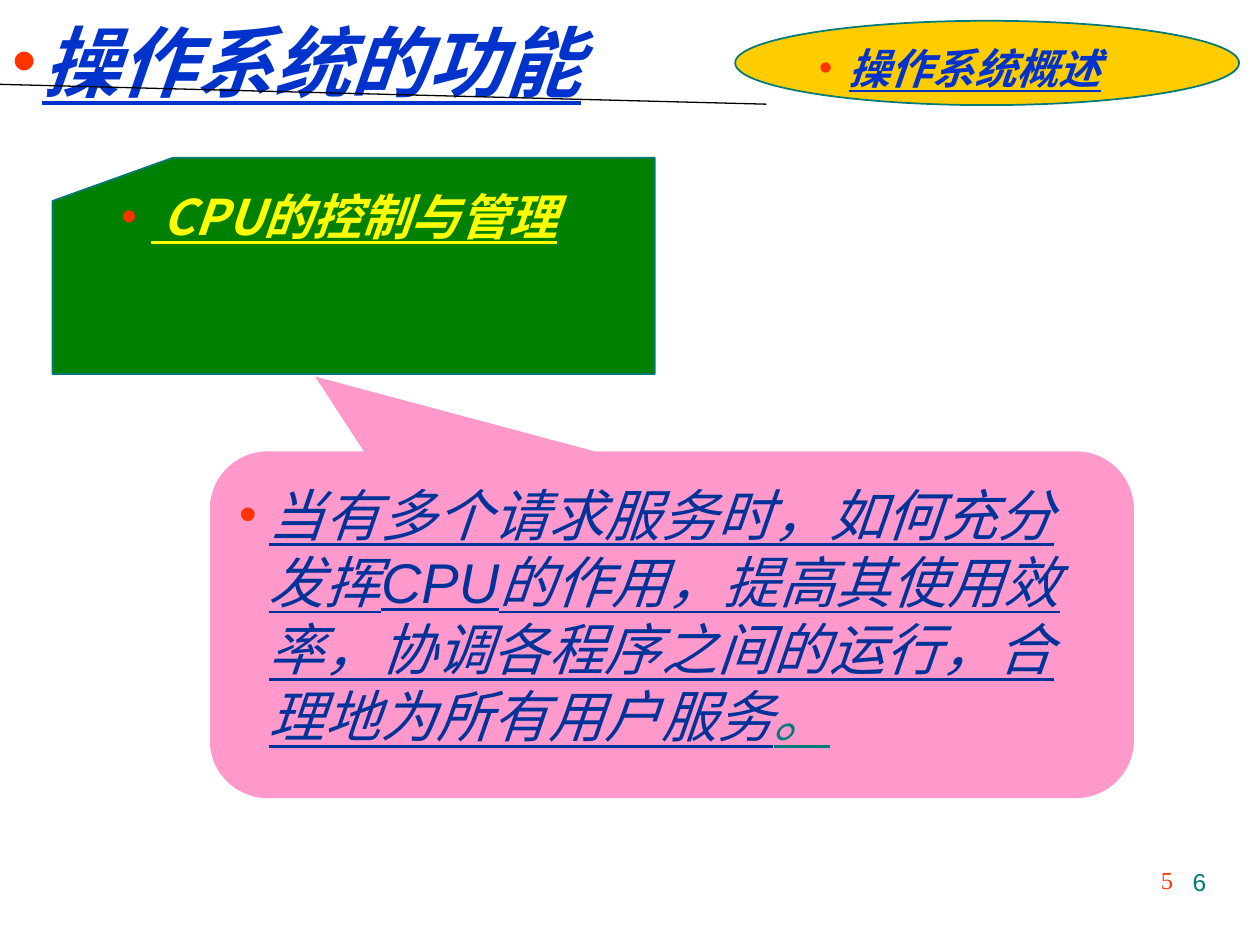
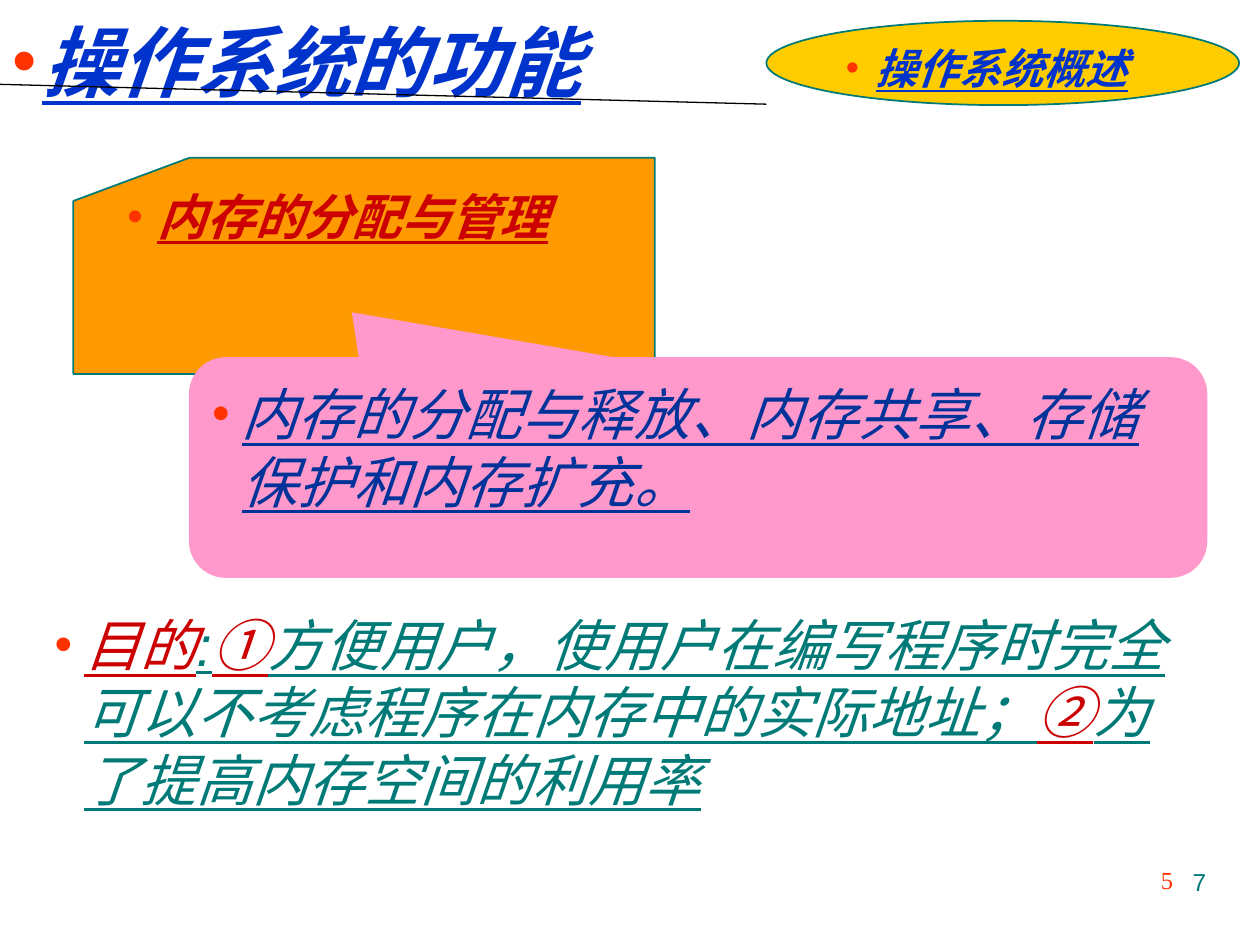
"""Build two slides on the functions of an operating system."""
import pptx
import pptx.dml.color
import pptx.enum.shapes
import pptx.enum.text
import pptx.oxml
import pptx.oxml.ns
import pptx.util
from lxml import etree

Cm = pptx.util.Cm
Pt = pptx.util.Pt
RGB = pptx.dml.color.RGBColor
SHAPE = pptx.enum.shapes.MSO_SHAPE
RIGHT = pptx.enum.text.PP_ALIGN.RIGHT
qn = pptx.oxml.ns.qn

BLUE = RGB(0x00, 0x33, 0xCC)
NAVY = RGB(0x00, 0x33, 0x99)
TEAL = RGB(0x00, 0x7A, 0x77)
RED = RGB(0xCC, 0x00, 0x00)
ORANGE_RED = RGB(0xFF, 0x33, 0x00)
ORANGE = RGB(0xFF, 0x99, 0x00)
GOLD = RGB(0xFF, 0xCC, 0x00)
YELLOW = RGB(0xFF, 0xFF, 0x00)
GREEN = RGB(0x00, 0x80, 0x00)
PINK = RGB(0xFF, 0x99, 0xCC)
BLACK = RGB(0x00, 0x00, 0x00)

SANS, SERIF, CJK = "Arial", "Times New Roman", "Noto Sans CJK SC"
BULLET_INDENT = 0.6
LINE_HEIGHT = 1.2
CARD_RIGHT, TOPIC_RIGHT = 13.2, 24.98

TITLE = "操作系统的功能"
TOPIC = "操作系统概述"
CHAPTER = "5"

SLIDES = [
    {
        "page": "6",
        "topic_left": 14.82,
        "card": {"left": 1.06, "text_left": 2.2, "fill": GREEN, "color": YELLOW,
                 "text": " CPU的控制与管理"},
        "callout": {"box": (4.23, 9.1, 18.63, 6.99), "tip": (-0.386, -0.716),
                    "runs": [("当有多个请求服务时，如何充分发挥CPU的作用，提高其使用效率，"
                              "协调各程序之间的运行，合理地为所有用户服务", NAVY), ("。", TEAL)]},
        "purpose": [],
    },
    {
        "page": "7",
        "topic_left": 15.45,
        "card": {"left": 1.48, "text_left": 2.32, "fill": ORANGE, "color": RED,
                 "text": "内存的分配与管理"},
        "callout": {"box": (3.81, 7.2, 20.53, 4.45), "tip": (-0.34, -0.703),
                    "runs": [("内存的分配与释放、内存共享、存储保护和内存扩充。", NAVY)]},
        "purpose": [("目的", RED), (":", TEAL), ("①", RED),
                    ("方便用户，使用户在编写程序时完全可以不考虑程序在内存中的实际地址；", TEAL),
                    ("②", RED), ("为了提高内存空间的利用率", TEAL)],
    },
]


def add_bullet(paragraph):
    props = paragraph._p.get_or_add_pPr()
    props.set("marL", str(Cm(BULLET_INDENT)))
    props.set("indent", str(-Cm(BULLET_INDENT)))
    color = etree.SubElement(props, qn("a:buClr"))
    etree.SubElement(color, qn("a:srgbClr")).set("val", str(ORANGE_RED))
    etree.SubElement(props, qn("a:buSzPct")).set("val", "90000")
    etree.SubElement(props, qn("a:buFont")).set("typeface", SANS)
    etree.SubElement(props, qn("a:buChar")).set("char", "•")


def write_bullet(shape, runs, size, font_name, bold=False):
    frame = shape.text_frame
    frame.word_wrap = True
    frame.vertical_anchor = pptx.enum.text.MSO_ANCHOR.TOP
    frame.margin_top = Cm(0.13) + Pt(size * 0.1)
    paragraph = frame.paragraphs[0]
    paragraph.alignment = pptx.enum.text.PP_ALIGN.LEFT
    add_bullet(paragraph)
    paragraph.line_spacing = Pt(size * LINE_HEIGHT)
    font = paragraph.font
    font.size, font.name = Pt(size), font_name
    font.bold, font.italic, font.underline = bold, True, True
    defaults = paragraph._p.pPr.find(qn("a:defRPr"))
    etree.SubElement(defaults, qn("a:ea")).set("typeface", CJK)
    for text, color in runs:
        run = paragraph.add_run()
        run.text = text
        run.font.color.rgb = color
        if text in "①②":
            run.font.name = CJK


def add_text_box(slide, left, top, width, height):
    return slide.shapes.add_textbox(Cm(left), Cm(top), Cm(width), Cm(height))


def add_filled(slide, kind, box, fill, outline=None):
    shape = slide.shapes.add_shape(kind, *map(Cm, box))
    shape.shadow.inherit = False
    shape.fill.solid()
    shape.fill.fore_color.rgb = fill
    if outline is None:
        shape.line.fill.background()
    else:
        shape.line.color.rgb = outline
        shape.line.width = Pt(1)
    return shape


def add_number(slide, text, box, font_name, color):
    paragraph = add_text_box(slide, *box).text_frame.paragraphs[0]
    paragraph.text = text
    paragraph.alignment = RIGHT
    font = paragraph.font
    font.size, font.name, font.color.rgb = Pt(14), font_name, color


def add_header(slide, topic_left):
    title = add_text_box(slide, 0, 0, 13.2, 2.1)
    write_bullet(title, [(TITLE, BLUE)], 44, SERIF, bold=True)
    rule = slide.shapes.add_connector(
        pptx.enum.shapes.MSO_CONNECTOR.STRAIGHT, 0, Cm(1.7), Cm(15.45), Cm(2.1))
    rule.line.color.rgb = BLACK
    rule.line.width = Pt(0.75)
    etree.SubElement(rule._element.spPr, qn("a:effectLst"))


def add_topic(slide, left):
    width = TOPIC_RIGHT - left
    add_filled(slide, SHAPE.OVAL, (left, 0.42, width, 1.7), GOLD, TEAL)
    topic = add_text_box(slide, left + width * 0.142, 0.64, width * 0.762, 1.27)
    write_bullet(topic, [(TOPIC, BLUE)], 24, SERIF, bold=True)


def add_card(slide, card):
    left, text_left = card["left"], card["text_left"]
    add_filled(slide, SHAPE.FLOWCHART_CARD,
               (left, 3.18, CARD_RIGHT - left, 4.36), card["fill"], TEAL)
    heading = add_text_box(slide, text_left, 3.53, CARD_RIGHT - text_left, 1.45)
    write_bullet(heading, [(card["text"], card["color"])], 28, CJK, bold=True)


def add_callout(slide, callout):
    bubble = add_filled(slide, SHAPE.ROUNDED_RECTANGULAR_CALLOUT, callout["box"], PINK)
    for index, value in enumerate((*callout["tip"], 0.167)):
        bubble.adjustments[index] = value
    write_bullet(bubble, callout["runs"], 32, SANS)


def main():
    deck = pptx.Presentation()
    deck.slide_width, deck.slide_height = Cm(25.4), Cm(19.05)
    for content in SLIDES:
        slide = deck.slides.add_slide(deck.slide_layouts[6])
        add_header(slide, content["topic_left"])
        add_card(slide, content["card"])
        add_topic(slide, content["topic_left"])
        add_callout(slide, content["callout"])
        if content["purpose"]:
            purpose = add_text_box(slide, 0.85, 12.07, 23.52, 4.37)
            write_bullet(purpose, content["purpose"], 32, SANS)
        add_number(slide, CHAPTER, (20, 17.32, 3.9, 1.32), SERIF, ORANGE_RED)
        add_number(slide, content["page"], (18.22, 17.36, 6.35, 1.32), SANS, TEAL)
    deck.save("out.pptx")


if __name__ == "__main__":
    main()
